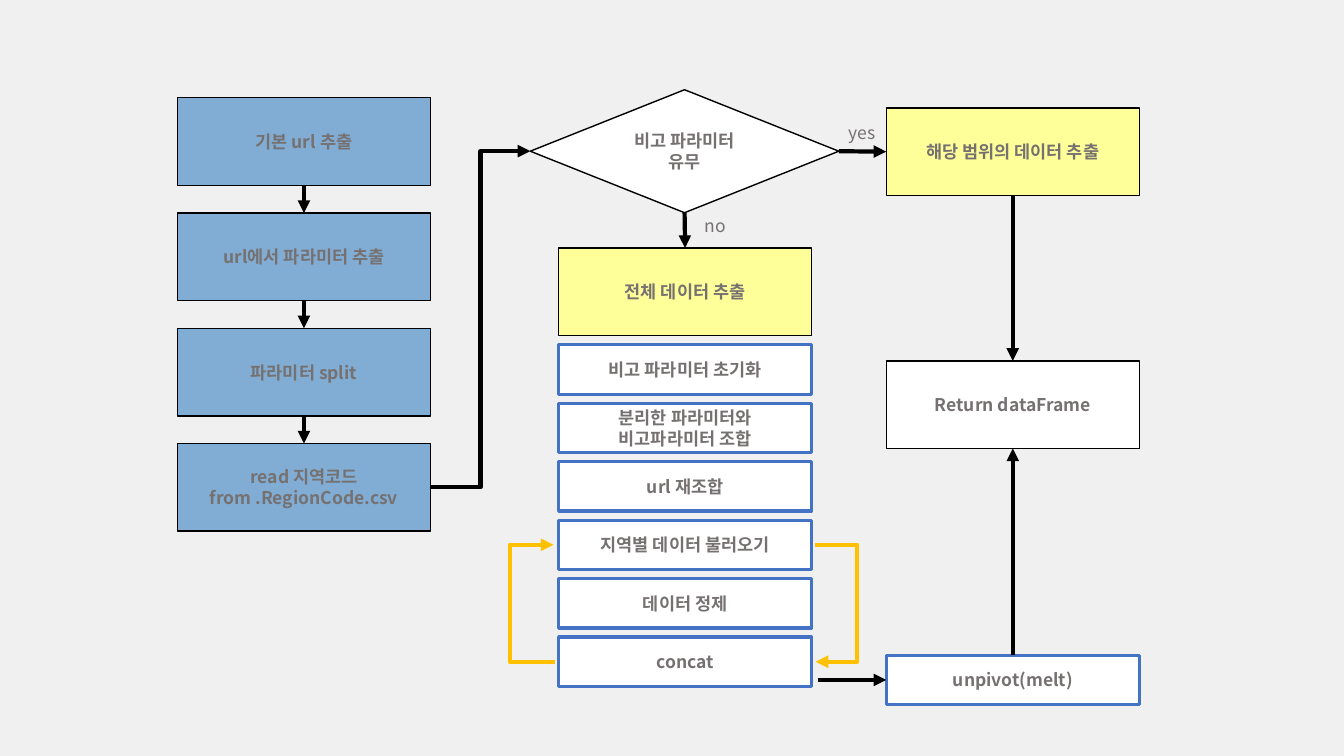
from lxml import etree
from pptx import Presentation
from pptx import util as u
from pptx.dml.color import RGBColor
from pptx.enum import shapes, text
from pptx.oxml import ns

FONT = "Noto Sans CJK KR"
BOX_W, BOX_H, STEP_H = 2.51, 0.87, 0.49
LEFT, MIDDLE, RIGHT = 1.76, 5.54, 8.79
BLACK, WHITE, BLUE, YELLOW, STEP_BLUE, ORANGE = (
    "000000", "FFFFFF", "81ADD5", "FFFF99", "4472C4", "FFC000")
TOP_SIDE, LEFT_SIDE, BOTTOM_SIDE, RIGHT_SIDE = range(4)
RECT, DIAMOND = shapes.MSO_SHAPE.RECTANGLE, shapes.MSO_SHAPE.DIAMOND
STRAIGHT, ELBOW = shapes.MSO_CONNECTOR.STRAIGHT, shapes.MSO_CONNECTOR.ELBOW
rgb = RGBColor.from_string


def write(shape, wording, bold, align):
    """Put the wording in a shape, one paragraph per line."""
    frame = shape.text_frame
    frame.word_wrap = True
    frame.text = wording
    look = {"name": FONT, "size": u.Pt(12.5), "bold": bold}
    for paragraph in frame.paragraphs:
        paragraph.alignment = align
        font = paragraph.runs[0].font
        font.color.rgb = rgb("767171")
        for key, value in look.items():
            setattr(font, key, value)
        run_format = paragraph.runs[0]._r.get_or_add_rPr()
        etree.SubElement(run_format, ns.qn("a:ea"), typeface=FONT)


def arrow(kind, start, end, color=BLACK):
    """Draw an arrow between two points given in inches."""
    line = slide.shapes.add_connector(kind, *(u.Inches(n) for n in start + end))
    line.line.color.rgb = rgb(color)
    line.line.width = u.Pt(3)
    etree.SubElement(line.line._get_or_add_ln(), ns.qn("a:tailEnd"), type="triangle")
    etree.SubElement(line._element.spPr, ns.qn("a:effectLst"))
    return line


deck = Presentation()
deck.slide_width, deck.slide_height = u.Inches(13.33), u.Inches(7.5)
slide = deck.slides.add_slide(deck.slide_layouts[6])
slide.background.fill.solid()
slide.background.fill.fore_color.rgb = rgb("F0F0F0")

prepare = ["기본 url 추출", "url에서 파라미터 추출", "파라미터 split",
           "read 지역코드 from .RegionCode.csv"]
steps = ["비고 파라미터 초기화", "분리한 파라미터와\n비고파라미터 조합", "url 재조합",
         "지역별 데이터 불러오기", "데이터 정제", "concat"]
step_tops = [3.42 + 0.58 * row for row in range(len(steps))]

# wording, preset, left, top, width, height, fill, line colour, line width
nodes = [(name, RECT, LEFT, 0.97 + 3.43 * row / 3, BOX_W, BOX_H, BLUE, BLACK, 1)
         for row, name in enumerate(prepare)]
nodes += [(name, RECT, MIDDLE, top, BOX_W, STEP_H, WHITE, STEP_BLUE, 2.25)
          for name, top in zip(steps, step_tops)]
nodes += [
    ("비고 파라미터 유무", DIAMOND, 5.26, 0.89, 3.06, 1.22, WHITE, BLACK, 1),
    ("전체 데이터 추출", RECT, MIDDLE, 2.46, BOX_W, BOX_H, YELLOW, BLACK, 1),
    ("해당 범위의 데이터 추출", RECT, RIGHT, 1.07, BOX_W, BOX_H, YELLOW, BLACK, 1),
    ("Return dataFrame", RECT, RIGHT, 3.58, BOX_W, BOX_H, WHITE, BLACK, 1),
    ("unpivot(melt)", RECT, RIGHT, 6.5, BOX_W, STEP_H, WHITE, STEP_BLUE, 2.25),
]
drawn = {}
for name, preset, left, top, width, height, fill, edge, weight in nodes:
    node = slide.shapes.add_shape(
        preset, *(u.Inches(n) for n in (left, top, width, height)))
    node.shadow.inherit = False
    node.fill.solid()
    node.fill.fore_color.rgb = rgb(fill)
    node.line.color.rgb = rgb(edge)
    node.line.width = u.Pt(weight)
    node.text_frame.vertical_anchor = text.MSO_ANCHOR.MIDDLE
    write(node, name, True, text.PP_ALIGN.CENTER)
    drawn[name] = node

has_note, all_data, range_data, result, unpivot = (node[0] for node in nodes[-5:])
flow = [(STRAIGHT, above, BOTTOM_SIDE, below, TOP_SIDE)
        for above, below in zip(prepare, prepare[1:])]
flow += [
    (ELBOW, prepare[-1], RIGHT_SIDE, has_note, LEFT_SIDE),
    (STRAIGHT, has_note, BOTTOM_SIDE, all_data, TOP_SIDE),
    (STRAIGHT, has_note, RIGHT_SIDE, range_data, LEFT_SIDE),
    (STRAIGHT, range_data, BOTTOM_SIDE, result, TOP_SIDE),
    (STRAIGHT, unpivot, TOP_SIDE, result, BOTTOM_SIDE),
]
for kind, source, source_side, target, target_side in flow:
    link = arrow(kind, (0, 0), (1, 1))
    link.begin_connect(drawn[source], source_side)
    link.end_connect(drawn[target], target_side)

unpivot_middle = 6.5 + STEP_H / 2
to_unpivot = arrow(STRAIGHT, (8.11, unpivot_middle), (RIGHT, unpivot_middle))
to_unpivot.end_connect(drawn[unpivot], LEFT_SIDE)

# The loop between loading and concat bulges far outside its narrow frame
load_y, concat_y = (step_tops[row] + STEP_H / 2 for row in (3, 5))
for start, end, bulge in [((8.08, load_y), (8.09, concat_y), 43),
                          ((5.5, concat_y), (5.49, load_y), 45)]:
    loop = arrow(ELBOW, start, end, ORANGE)
    guides = loop._element.spPr.find(ns.qn("a:prstGeom")).get_or_add_avLst()
    etree.SubElement(guides, ns.qn("a:gd"), name="adj1", fmla=f"val {bulge * 100000}")

for answer, left, top in [("no", 6.89, 2.08), ("yes", 8.32, 1.16)]:
    label = slide.shapes.add_textbox(*(u.Inches(n) for n in (left, top, 0.53, 0.31)))
    write(label, answer, False, text.PP_ALIGN.LEFT)

deck.save("out.pptx")
